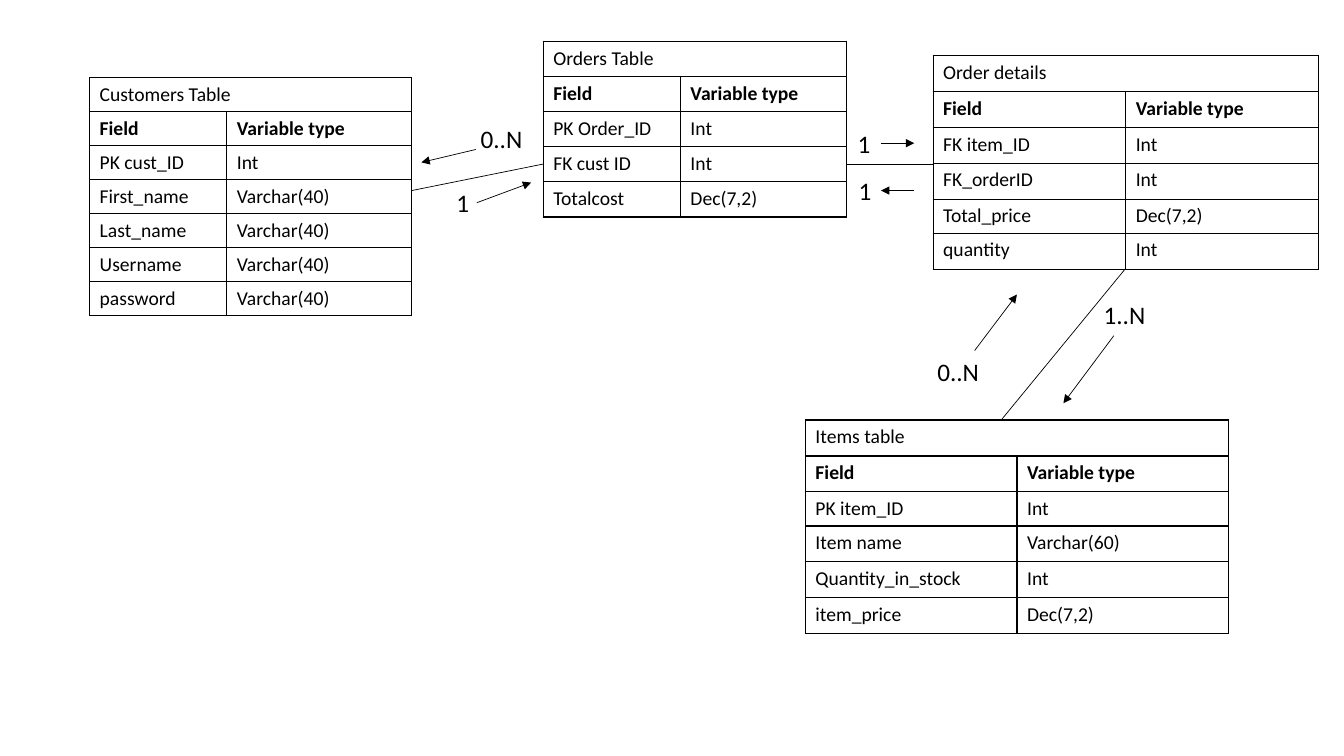
"""Draws an entity relationship slide of four shop tables and their links."""
from lxml import etree
from pptx import Presentation
from pptx.dml.color import RGBColor
from pptx.enum.shapes import MSO_CONNECTOR
from pptx.enum.text import MSO_AUTO_SIZE
from pptx.oxml.ns import qn
from pptx.util import Pt

BLACK = RGBColor(0, 0, 0)
FONT = "Calibri"
STRAIGHT = MSO_CONNECTOR.STRAIGHT
GROW = MSO_AUTO_SIZE.SHAPE_TO_FIT_TEXT
BLANK_LAYOUT = 6
HEADER = ("Field", "Variable type")


class Diagram:
    """Holds the text style and the page being drawn."""

    def __init__(self, page, font, color):
        self.page = page
        self.font = font
        self.color = color

    def add_span(self, frame, text, size, bold=False):
        span = frame.paragraphs[0].add_run()
        span.text = text
        span.font.name = self.font
        span.font.size = Pt(size)
        span.font.bold = bold
        span.font.color.rgb = self.color

    def border(self, cell):
        properties = cell._tc.get_or_add_tcPr()
        for side in ("lnL", "lnR", "lnT", "lnB"):
            line = etree.SubElement(properties, qn("a:" + side), w=str(Pt(1)))
            fill = etree.SubElement(line, qn("a:solidFill"))
            etree.SubElement(fill, qn("a:srgbClr"), val=str(self.color))

    def entity(self, left, top, widths, heights, title, fields):
        rows = [(title, ""), HEADER, *fields]
        frame = self.page.shapes.add_table(
            len(rows), len(widths), Pt(left), Pt(top), Pt(sum(widths)), Pt(sum(heights)))
        table = frame.table
        table.first_row = False
        table.horz_banding = False
        for column, width in zip(table.columns, widths):
            column.width = Pt(width)
        for row, height, texts in zip(table.rows, heights, rows):
            row.height = Pt(height)
            for cell, text in zip(row.cells, texts):
                self.border(cell)
                cell.fill.background()
                if text:
                    self.add_span(cell.text_frame, text, 14, texts == HEADER)
        table.cell(0, 0).merge(table.cell(0, 1))

    def line(self, start, end, arrow=False):
        connector = self.page.shapes.add_connector(STRAIGHT, *map(Pt, start + end))
        connector.line.color.rgb = self.color
        connector.line.width = Pt(0.5)
        if arrow:
            outline = connector.line._get_or_add_ln()
            etree.SubElement(outline, qn("a:tailEnd"), type="triangle")
        etree.SubElement(connector._element.spPr, qn("a:effectLst"))

    def label(self, left, top, width, text, wrap=False):
        box = self.page.shapes.add_textbox(Pt(left), Pt(top), Pt(width), Pt(29))
        box.text_frame.word_wrap = wrap
        box.text_frame.auto_size = GROW
        self.add_span(box.text_frame, text, 18)


deck = Presentation()
deck.slide_width = Pt(960)
deck.slide_height = Pt(540)
page = deck.slides.add_slide(deck.slide_layouts[BLANK_LAYOUT])
diagram = Diagram(page, FONT, BLACK)

LOW, MIDDLE, TALL = 24.3, 25.1, 25.7

diagram.entity(64, 55.4, (98, 131.8), [LOW] * 7, "Customers Table", [
    ("PK cust_ID", "Int"),
    ("First_name", "Varchar(40)"),
    ("Last_name", "Varchar(40)"),
    ("Username", "Varchar(40)"),
    ("password", "Varchar(40)"),
])
diagram.entity(388, 29.5, (98, 118.8), [MIDDLE] * 5, "Orders Table", [
    ("PK Order_ID", "Int"),
    ("FK cust ID", "Int"),
    ("Totalcost", "Dec(7,2)"),
])
diagram.entity(575.3, 300, (151.2, 151.2), [TALL] * 2 + [LOW] + [TALL] * 3, "Items table", [
    ("PK item_ID", "Int"),
    ("Item name", "Varchar(60)"),
    ("Quantity_in_stock", "Int"),
    ("item_price", "Dec(7,2)"),
])
diagram.entity(666.5, 39.6, (137.6, 137.6), [TALL] * 4 + [LOW, TALL], "Order details", [
    ("FK item_ID", "Int"),
    ("FK_orderID", "Int"),
    ("Total_price", "Dec(7,2)"),
    ("quantity", "Int"),
])

RELATIONS = [
    ((604.8, 117.2), (666.5, 117.2)),
    ((715.2, 300), (804.1, 191.7)),
    ((293.8, 136.2), (388, 117.2)),
]
DIRECTIONS = [
    ((339.8, 106.8), (301, 116)),
    ((340.6, 144.8), (379.4, 130.4)),
    ((795.6, 239.8), (759.6, 288)),
    ((696.2, 250.4), (726.4, 210.4)),
    ((629.3, 102.3), (653, 102.3)),
    ((653, 136.1), (629.3, 136.1)),
]
for start, end in RELATIONS:
    diagram.line(start, end)
for start, end in DIRECTIONS:
    diagram.line(start, end, arrow=True)

diagram.label(605.5, 88, 23.8, "1")
diagram.label(606.2, 121.7, 23.8, "1")
diagram.label(336.2, 84.2, 44.6, "0..N")
diagram.label(662.4, 250.8, 44.6, "0..N")
diagram.label(781.2, 210.5, 45.4, "1..N", wrap=True)
diagram.label(319, 130.3, 60.5, "1", wrap=True)

deck.save("out.pptx")
